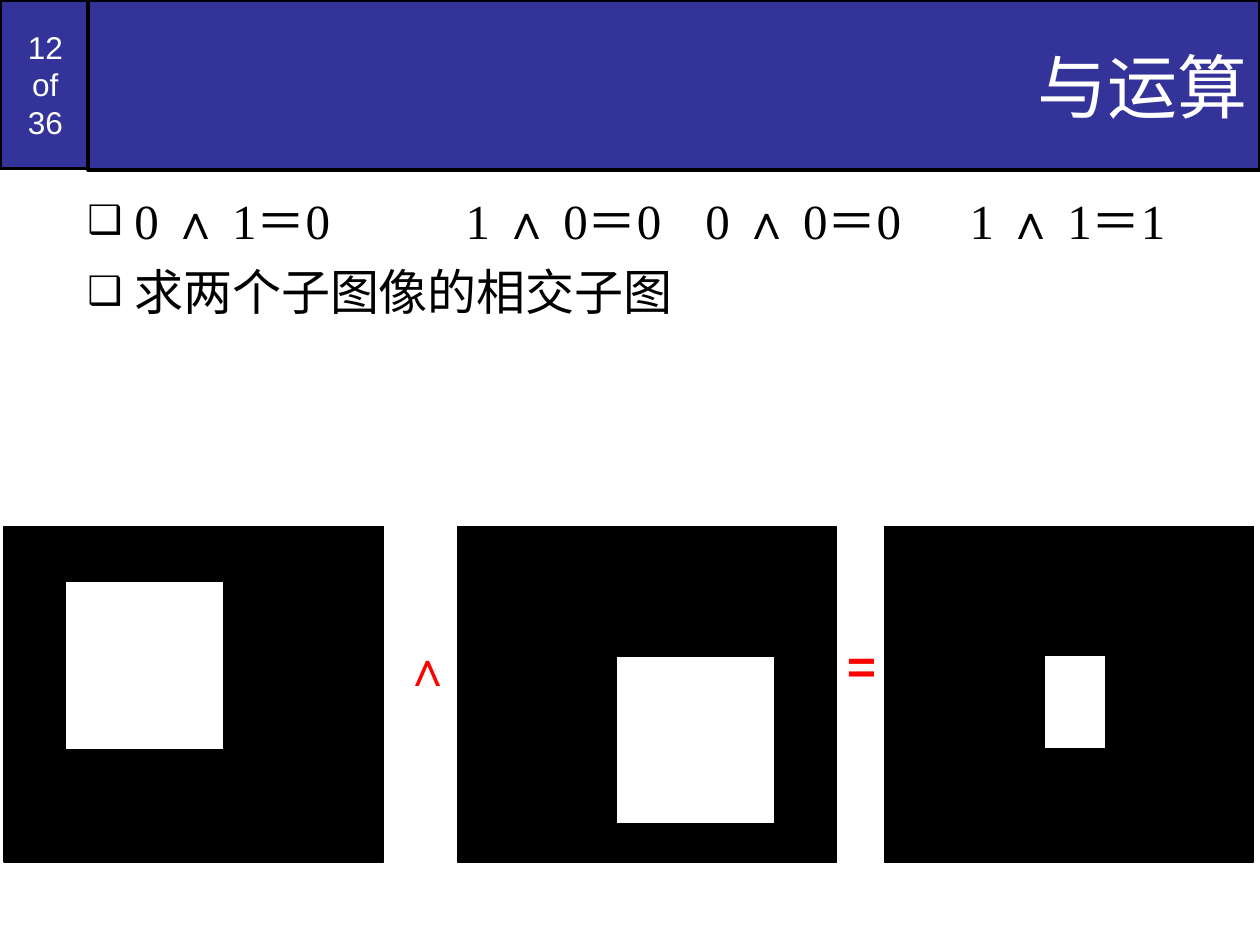
from pptx import Presentation
from pptx.dml.color import RGBColor
from pptx.enum.shapes import MSO_SHAPE
from pptx.enum.text import MSO_ANCHOR, PP_ALIGN
from pptx.oxml.ns import qn
from pptx.util import Cm, Pt
from lxml.etree import SubElement

THEME = {
    "banner": RGBColor(0x33, 0x33, 0x99), "black": RGBColor(0, 0, 0),
    "white": RGBColor(255, 255, 255), "red": RGBColor(255, 0, 0),
    "sans": "Arial", "serif": "Times New Roman", "cjk": "Noto Sans CJK SC",
    "counter": 18, "title": 40, "body": 28, "operator": 28,
}
AND = "∧"
COUNTER = "12\vof\v36"
TITLE = "与运算"
BULLETS = ["0 ∧ 1＝0\t 1 ∧ 0＝0\t0 ∧ 0＝0\t 1 ∧ 1＝1", "求两个子图像的相交子图"]

PANEL_TOP, PANEL_HEIGHT = 10.62, 6.76
PANELS = [
    {"left": 0.08, "width": 7.65, "window": (1.32, 11.73, 3.2, 3.38)},
    {"left": 9.22, "width": 7.65, "window": (12.42, 13.23, 3.2, 3.38)},
    {"left": 17.83, "width": 7.44, "window": (21.06, 13.21, 1.24, 1.88)},
]
OPERATORS = [
    (AND, THEME["sans"], (7.82, 12.73, 1.63, 1.45)),
    ("=", THEME["cjk"], (16.84, 12.73, 0.99, 1.45)),
]


def add_rect(page, area, fill, line_width):
    rect = page.shapes.add_shape(MSO_SHAPE.RECTANGLE, *map(Cm, area))
    rect.shadow.inherit = False
    rect.fill.solid()
    rect.fill.fore_color.rgb = fill
    rect.line.color.rgb = THEME["black"]
    rect.line.width = Pt(line_width)
    return rect


def set_font(font, name, size, color, bold=False):
    font.name, font.size, font.bold = name, Pt(size), bold
    font.color.rgb = color


def set_east_asian(paragraph):
    for span in paragraph.runs:
        latin = span.font._element.find(qn("a:latin"))
        if latin is None:
            span.font.name = paragraph.font.name
            latin = span.font._element.find(qn("a:latin"))
        east_asian = latin.makeelement(qn("a:ea"), {"typeface": THEME["cjk"]})
        latin.addnext(east_asian)


def write_line(box, text, name, size, color, align, bold=False):
    box.text_frame.vertical_anchor = MSO_ANCHOR.MIDDLE
    paragraph = box.text_frame.paragraphs[0]
    paragraph.text = text
    paragraph.alignment = align
    set_font(paragraph.font, name, size, color, bold)
    set_east_asian(paragraph)
    return paragraph


def add_bullet(paragraph):
    properties = paragraph._p.get_or_add_pPr()
    properties.set("marL", str(Cm(1.19)))
    properties.set("indent", str(-Cm(0.95)))
    color = SubElement(SubElement(properties, qn("a:buClr")), qn("a:srgbClr"))
    color.set("val", str(THEME["black"]))
    SubElement(properties, qn("a:buSzPct")).set("val", "80000")
    SubElement(properties, qn("a:buFont")).set("typeface", THEME["sans"])
    SubElement(properties, qn("a:buChar")).set("char", "❑")
    tabs = SubElement(properties, qn("a:tabLst"))
    for inch in range(1, 9):
        tab = SubElement(tabs, qn("a:tab"))
        tab.set("pos", str(Cm(2.54 * inch)))
        tab.set("algn", "l")


def add_banner(page):
    counter = add_rect(page, (0, 0, 1.83, 3.4), THEME["banner"], 2)
    paragraph = write_line(counter, COUNTER, THEME["sans"], THEME["counter"],
                           THEME["white"], PP_ALIGN.CENTER)
    paragraph.space_before = Pt(11.2)
    title = add_rect(page, (1.78, 0, 23.62, 3.43), THEME["banner"], 2)
    write_line(title, TITLE, THEME["sans"], THEME["title"], THEME["white"], PP_ALIGN.RIGHT)


def add_body(page):
    box = page.shapes.add_textbox(Cm(1.27), Cm(3.71), Cm(22.86), Cm(15.34))
    frame = box.text_frame
    frame.word_wrap = True
    for index, text in enumerate(BULLETS):
        paragraph = frame.add_paragraph() if index else frame.paragraphs[0]
        paragraph.space_before = Pt(7)
        add_bullet(paragraph)
        for position, part in enumerate(text.split(AND)):
            for piece, name in ((AND, THEME["sans"]), (part, THEME["serif"])):
                if piece != AND or position:
                    span = paragraph.add_run()
                    span.text = piece
                    set_font(span.font, name, THEME["body"], THEME["black"])
        set_east_asian(paragraph)


def add_figure(page):
    for panel in PANELS:
        area = (panel["left"], PANEL_TOP, panel["width"], PANEL_HEIGHT)
        add_rect(page, area, THEME["black"], 0.75)
        add_rect(page, panel["window"], THEME["white"], 0.75)
    for symbol, name, area in OPERATORS:
        box = page.shapes.add_textbox(*map(Cm, area))
        box.text_frame.word_wrap = symbol == AND
        write_line(box, symbol, name, THEME["operator"], THEME["red"],
                   PP_ALIGN.CENTER, bold=True)


def main():
    deck = Presentation()
    deck.slide_width, deck.slide_height = Cm(25.4), Cm(19.05)
    page = deck.slides.add_slide(deck.slide_layouts[6])
    add_banner(page)
    add_body(page)
    add_figure(page)
    deck.save("out.pptx")


if __name__ == "__main__":
    main()
